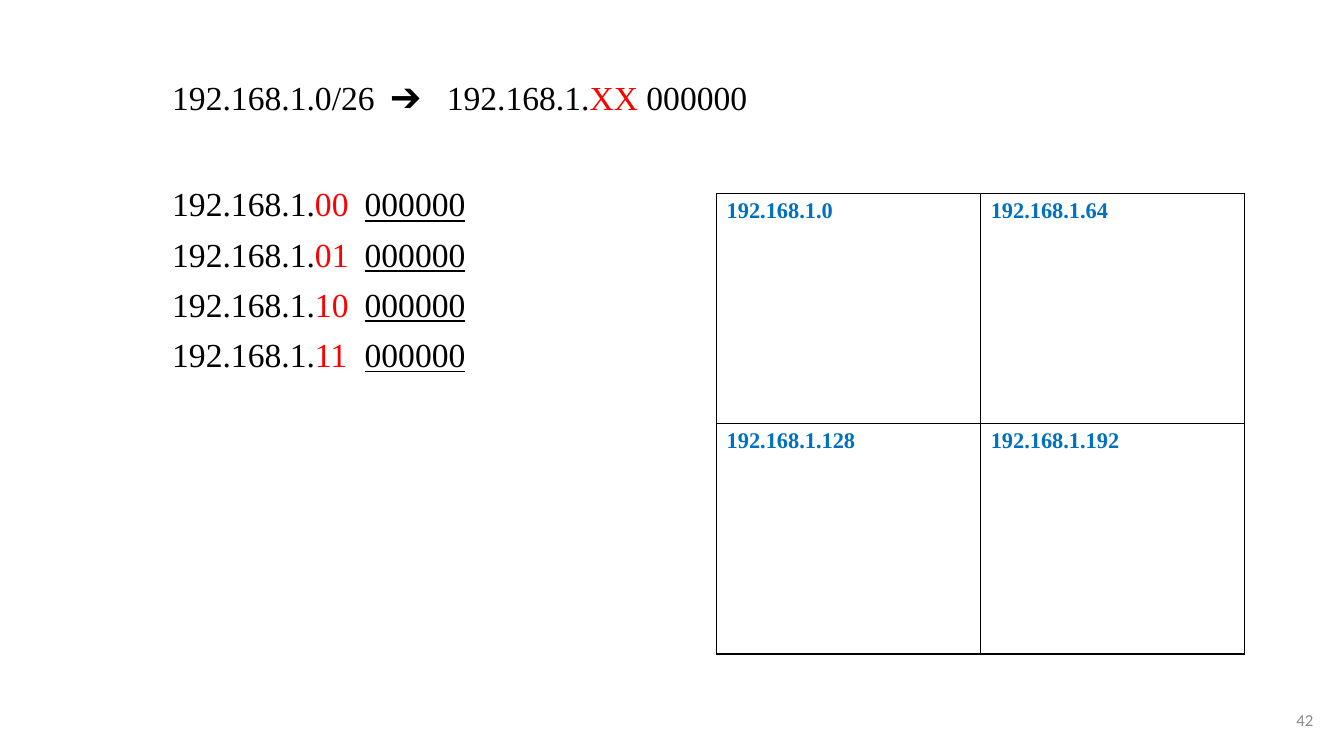
from lxml import etree
from pptx import Presentation
from pptx import util as u
from pptx.dml.color import RGBColor
from pptx.enum import text
from pptx.oxml import ns

BLACK = RGBColor(0x00, 0x00, 0x00)
RED = RGBColor(0xFF, 0x00, 0x00)
BLUE = RGBColor(0x00, 0x70, 0xC0)
GREY = RGBColor(0x8C, 0x8C, 0x8C)
SERIF = "Times New Roman"

presentation = Presentation()
presentation.slide_width = u.Cm(33.87)
presentation.slide_height = u.Cm(19.05)
slide = presentation.slides.add_slide(presentation.slide_layouts[6])


def set_font(paragraph, name, size, color, bold=False):
    font = paragraph.font
    font.name, font.size, font.bold = name, u.Pt(size), bold
    font.color.rgb = color


# Address lines: tab stops in cm, space before in points, runs as (text, color, underline)
address_lines = [
    ([5.51, 6.92], 0, [("192.168.1.0/26\t➔\t192.168.1.", BLACK, False),
                       ("XX", RED, False), (" 000000", BLACK, False)]),
]
for number, subnet_bits in enumerate(["00", "01", "10", "11"]):
    address_lines.append(
        ([4.85], 10 if number else 50, [("192.168.1.", BLACK, False),
                                        (subnet_bits + "\t", RED, False),
                                        ("000000", BLACK, True)]))

address_box = slide.shapes.add_textbox(u.Cm(4.09), u.Cm(1.93), u.Cm(21.89), u.Cm(13.41))
address_frame = address_box.text_frame
address_frame.word_wrap = True
for number, (stops, space_before, runs) in enumerate(address_lines):
    paragraph = address_frame.add_paragraph() if number else address_frame.paragraphs[0]
    tab_list = etree.SubElement(paragraph._p.get_or_add_pPr(), ns.qn("a:tabLst"))
    for stop in stops:
        etree.SubElement(tab_list, ns.qn("a:tab"), pos=str(u.Cm(stop)), algn="l")
    paragraph.line_spacing = 0.9
    paragraph.space_before = u.Pt(space_before)
    set_font(paragraph, SERIF, 24, BLACK)
    for content, color, underline in runs:
        run = paragraph.add_run()
        run.text = content
        run.font.color.rgb = color
        run.font.underline = underline

# Table of the four subnets
table = slide.shapes.add_table(2, 2, u.Cm(18.06), u.Cm(4.88), u.Cm(13.31), u.Cm(11.6)).table
table.first_row = False
table.horz_banding = False
for number, cell in enumerate(table.iter_cells()):
    cell.text = f"192.168.1.{64 * number}"
    set_font(cell.text_frame.paragraphs[0], SERIF, 16, BLUE, bold=True)
    properties = cell._tc.get_or_add_tcPr()
    for side in ("lnL", "lnR", "lnT", "lnB"):
        border = etree.SubElement(properties, ns.qn("a:" + side), w=str(u.Pt(1)))
        fill = etree.SubElement(border, ns.qn("a:solidFill"))
        etree.SubElement(fill, ns.qn("a:srgbClr"), val=str(BLACK))
    cell.fill.background()

# Slide number
number_box = slide.shapes.add_textbox(u.Cm(25.73), u.Cm(17.63), u.Cm(7.62), u.Cm(1.02))
number_frame = number_box.text_frame
number_frame.word_wrap = True
number_frame.vertical_anchor = text.MSO_ANCHOR.MIDDLE
paragraph = number_frame.paragraphs[0]
paragraph.text = "42"
paragraph.alignment = text.PP_ALIGN.RIGHT
set_font(paragraph, "Calibri", 12, GREY)

presentation.save("out.pptx")
